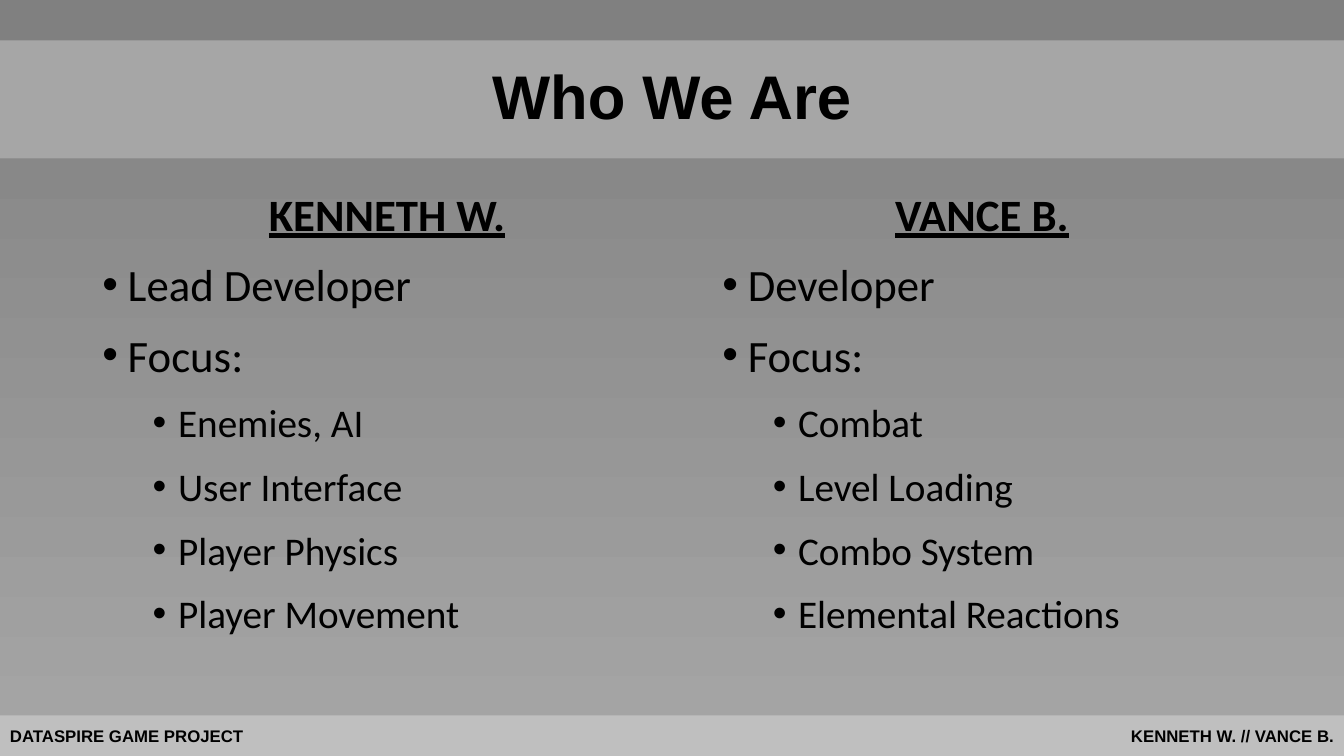
from lxml import etree
from pptx import Presentation
from pptx.dml.color import RGBColor
from pptx.enum.shapes import MSO_SHAPE
from pptx.enum.text import MSO_ANCHOR, MSO_AUTO_SIZE, PP_ALIGN
from pptx.oxml.ns import qn
from pptx.util import Cm, Pt

TITLE = "Who We Are"
PEOPLE = [
    ("KENNETH W.", ["Lead Developer", "Focus:"],
     ["Enemies, AI", "User Interface", "Player Physics", "Player Movement"]),
    ("VANCE B.", ["Developer", "Focus:"],
     ["Combat", "Level Loading", "Combo System", "Elemental Reactions"]),
]
FOOTERS = [("DATASPIRE GAME PROJECT", PP_ALIGN.LEFT),
           ("KENNETH W. // VANCE B.", PP_ALIGN.RIGHT)]

BLACK = RGBColor(0x00, 0x00, 0x00)
DARK_GRAY = RGBColor(0x80, 0x80, 0x80)
MID_GRAY = RGBColor(0xA6, 0xA6, 0xA6)
LIGHT_GRAY = RGBColor(0xBF, 0xBF, 0xBF)

RECTANGLE = MSO_SHAPE.RECTANGLE
MIDDLE = MSO_ANCHOR.MIDDLE
CENTER = PP_ALIGN.CENTER

WIDTH, HEIGHT = Cm(33.87), Cm(19.05)
BAR = Cm(1.02)
BAND_HEIGHT = Cm(2.97)
MARGIN = Cm(2.33)
CONTENT_WIDTH = WIDTH - 2 * MARGIN
BODY_TOP, BODY_HEIGHT = Cm(4.57), Cm(12.6)
LEVEL_INDENT, HANGING = Cm(1.27), Cm(0.64)


def add_rectangle(slide, top, height, color=None):
    shape = slide.shapes.add_shape(RECTANGLE, 0, top, WIDTH, height)
    shape.shadow.inherit = False
    shape.line.fill.background()
    if color is not None:
        shape.fill.solid()
        shape.fill.fore_color.rgb = color
    return shape


def style(paragraph, name, size, bold=False, underline=False):
    font = paragraph.font
    font.name, font.size = name, Pt(size)
    font.bold, font.underline = bold, underline
    font.color.rgb = BLACK


def add_line(frame, text, level, size, heading=False):
    first = not frame.paragraphs[0].text
    paragraph = frame.paragraphs[0] if first else frame.add_paragraph()
    paragraph.text = text
    paragraph.level = level
    paragraph.space_before = Pt(0 if first else 6)
    paragraph.space_after = Pt(6)
    properties = paragraph._p.get_or_add_pPr()
    hanging = 0 if heading else HANGING
    properties.set("marL", str(level * LEVEL_INDENT + hanging))
    properties.set("indent", str(-hanging))
    if heading:
        paragraph.alignment = CENTER
    else:
        etree.SubElement(properties, qn("a:buFont"), typeface="Arial")
        etree.SubElement(properties, qn("a:buChar"), char="•")
    style(paragraph, "Calibri", size, heading, heading)


def add_background(slide):
    fill = add_rectangle(slide, 0, HEIGHT).fill
    fill.gradient()
    fill.gradient_angle = 270
    for stop, color in zip(fill.gradient_stops, (DARK_GRAY, MID_GRAY)):
        stop.color.rgb = color


def add_title(slide):
    band = add_rectangle(slide, BAR, BAND_HEIGHT, MID_GRAY)
    title = slide.shapes.title
    band._element.addnext(title._element)
    title.left, title.top = MARGIN, BAR
    title.width, title.height = CONTENT_WIDTH, BAND_HEIGHT
    title.text_frame.text = TITLE
    title.text_frame.vertical_anchor = MIDDLE
    paragraph = title.text_frame.paragraphs[0]
    paragraph.alignment = CENTER
    paragraph.line_spacing = 0.9
    style(paragraph, "Arial", 44, bold=True)


def add_people(slide):
    box = slide.shapes.add_textbox(MARGIN, BODY_TOP, CONTENT_WIDTH, BODY_HEIGHT)
    frame = box.text_frame
    frame.word_wrap = True
    frame.auto_size = MSO_AUTO_SIZE.NONE
    frame._txBody.bodyPr.set("numCol", str(len(PEOPLE)))
    for column, (name, roles, focuses) in enumerate(PEOPLE):
        add_line(frame, name, column, 32, heading=True)
        for role in roles:
            add_line(frame, role, column, 32)
        for focus in focuses:
            add_line(frame, focus, column + 1, 28)


def add_footer(slide):
    top = HEIGHT - BAR
    add_rectangle(slide, top, BAR, LIGHT_GRAY)
    width = WIDTH // len(FOOTERS)
    for column, (text, alignment) in enumerate(FOOTERS):
        box = slide.shapes.add_textbox(column * width, top, width, BAR)
        frame = box.text_frame
        frame.word_wrap = True
        frame.vertical_anchor = MIDDLE
        frame.text = text
        frame.paragraphs[0].alignment = alignment
        style(frame.paragraphs[0], "Arial", 12, bold=True)


def main():
    presentation = Presentation()
    presentation.slide_width, presentation.slide_height = WIDTH, HEIGHT
    slide = presentation.slides.add_slide(presentation.slide_layouts[5])
    add_background(slide)
    add_title(slide)
    add_people(slide)
    add_footer(slide)
    presentation.save("out.pptx")


if __name__ == "__main__":
    main()
